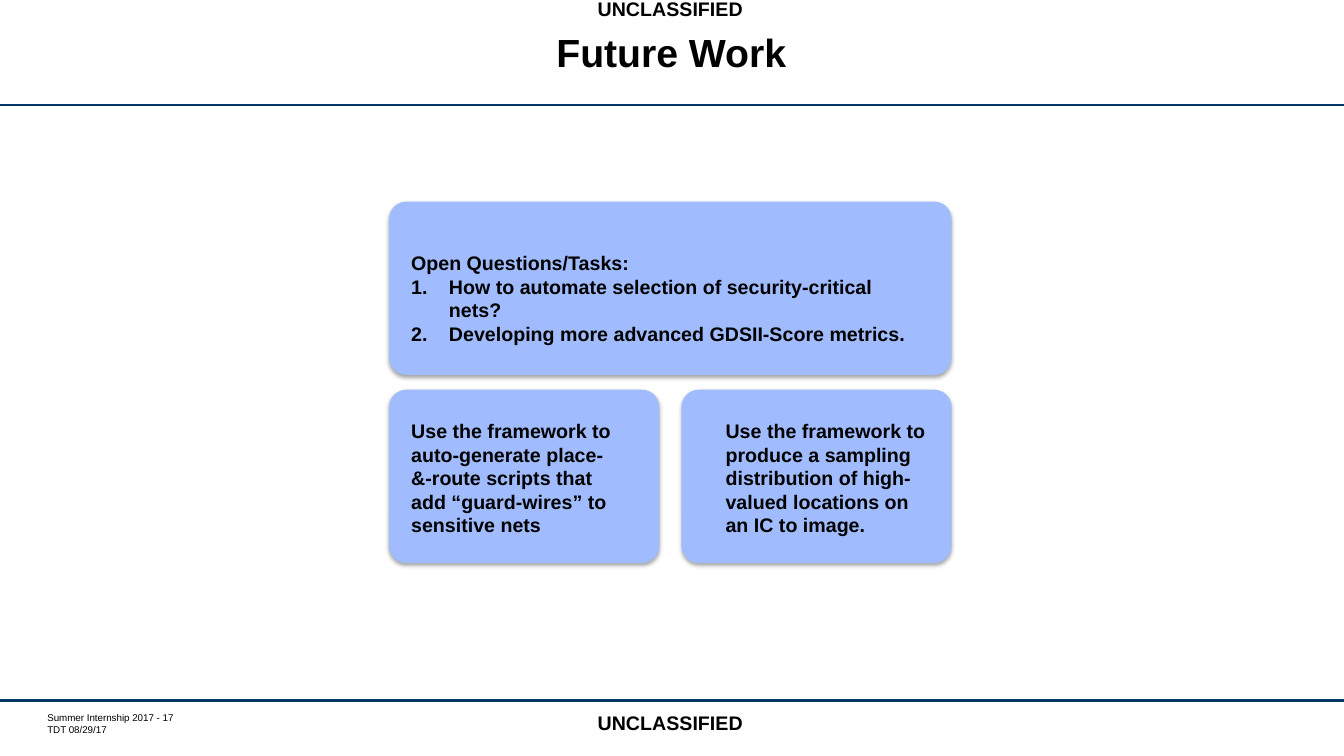
from lxml.etree import SubElement
from pptx import Presentation
from pptx.dml.color import RGBColor
from pptx.enum.shapes import MSO_CONNECTOR, MSO_SHAPE
from pptx.enum.text import MSO_ANCHOR, MSO_AUTO_SIZE, PP_ALIGN
from pptx.oxml.ns import qn
from pptx.util import Pt

BLACK = RGBColor(0, 0, 0)
NAVY = RGBColor(0x00, 0x37, 0x67)
BLUE = RGBColor(0xA0, 0xBC, 0xFE)
WIDTH, HEIGHT = 960, 540
LEFT, TOP, WIDE, HALF, TALL = 277.9, 144, 401.8, 193, 123.8
ROW = TOP + 134.4


def add_rule(slide, y):
    """Draw a navy line across the slide."""
    rule = slide.shapes.add_connector(
        MSO_CONNECTOR.STRAIGHT, Pt(0), Pt(y), Pt(WIDTH), Pt(y))
    rule.line.color.rgb = NAVY
    rule.line.width = Pt(1.75)
    SubElement(rule._element.spPr, qn("a:effectLst"))


def add_card(slide, x, y, width):
    """Draw a rounded blue card with a soft shadow."""
    card = slide.shapes.add_shape(
        MSO_SHAPE.ROUNDED_RECTANGLE, Pt(x), Pt(y), Pt(width), Pt(TALL))
    card.adjustments[0] = 0.1
    card.fill.solid()
    card.fill.fore_color.rgb = BLUE
    card.line.fill.background()
    card.shadow.inherit = False
    effect = card._element.spPr.find(qn("a:effectLst"))
    shadow = SubElement(
        effect, qn("a:outerShdw"), blurRad=str(Pt(3.1)), dist=str(Pt(1.8)),
        dir="5400000", rotWithShape="0")
    color = SubElement(shadow, qn("a:srgbClr"), val="000000")
    SubElement(color, qn("a:alpha"), val="35000")


def add_text(slide, lines, x, y, width, height, size=14, bold=True,
             wrap=True, inset=True, grow=True, align=PP_ALIGN.LEFT,
             anchor=MSO_ANCHOR.TOP, space=None, count=False):
    """Add a text box, numbering the lines after the first if asked."""
    box = slide.shapes.add_textbox(Pt(x), Pt(y), Pt(width), Pt(height))
    frame = box.text_frame
    frame.word_wrap = wrap
    frame.vertical_anchor = anchor
    if grow:
        frame.auto_size = MSO_AUTO_SIZE.SHAPE_TO_FIT_TEXT
    if not inset:
        frame.margin_left = frame.margin_right = Pt(0)
        frame.margin_top = frame.margin_bottom = Pt(0)
    for index, line in enumerate(lines):
        para = frame.paragraphs[0] if index == 0 else frame.add_paragraph()
        para.alignment = align
        if space:
            para.line_spacing = Pt(space)
        if count and index:
            props = para._p.get_or_add_pPr()
            props.set("marL", str(Pt(27)))
            props.set("indent", str(Pt(-27)))
            SubElement(props, qn("a:buFont"), typeface="+mj-lt")
            SubElement(props, qn("a:buAutoNum"), type="arabicPeriod")
        run = para.add_run()
        run.text = line
        run.font.name = "Arial"
        run.font.size = Pt(size)
        run.font.bold = bold
        run.font.color.rgb = BLACK


def main():
    """Build the slide and save it."""
    deck = Presentation()
    deck.slide_width, deck.slide_height = Pt(WIDTH), Pt(HEIGHT)
    slide = deck.slides.add_slide(deck.slide_layouts[6])

    for y in (74.9, 500.4):
        add_rule(slide, y)
    for y in (-5.8, 504):
        add_text(slide, ["UNCLASSIFIED"], 419.8, y, 118.8, 24.5, wrap=False)
    add_text(slide, ["Summer Internship 2017 - 17", "TDT 08/29/17"],
             33.8, 508.3, 114.5, 17.3, size=7, bold=False, inset=False,
             grow=False)
    add_text(slide, ["Future Work"], 98.6, 7.9, 761.8, 64.1, size=28,
             grow=False, align=PP_ALIGN.CENTER, anchor=MSO_ANCHOR.MIDDLE,
             space=28)

    add_card(slide, LEFT, TOP, WIDE)
    for x in (LEFT, LEFT + WIDE - HALF):
        add_card(slide, x, ROW, HALF)
    add_text(slide, ["Open Questions/Tasks:",
                     "How to automate selection of security-critical nets?",
                     "Developing more advanced GDSII-Score metrics."],
             286.6, 175.7, 383.8, 58.3, count=True)
    notes = (
        (286.6, "Use the framework to auto-generate place-&-route scripts "
                "that add “guard-wires” to sensitive nets"),
        (511.2, "Use the framework to produce a sampling distribution of "
                "high-valued locations on an IC to image."))
    for x, note in notes:
        add_text(slide, [note], x, 295.9, 159.8, 92.2)
    deck.save("out.pptx")


if __name__ == "__main__":
    main()
